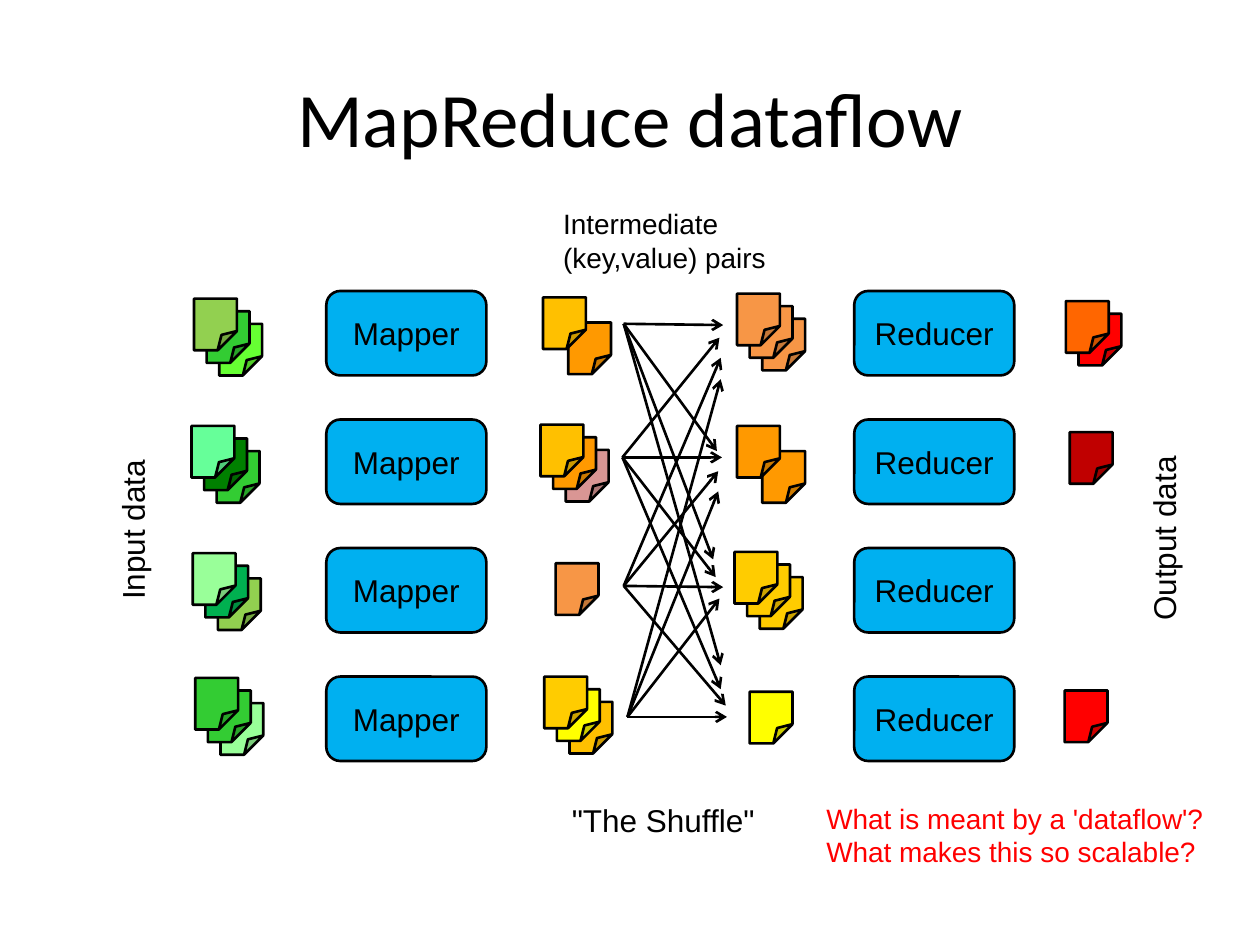
from lxml.etree import SubElement
from pptx import Presentation
from pptx.dml.color import RGBColor
from pptx.enum.shapes import MSO_CONNECTOR, MSO_SHAPE
from pptx.enum.text import MSO_ANCHOR, MSO_AUTO_SIZE, PP_ALIGN
from pptx.oxml.ns import qn
from pptx.util import Inches, Pt

THEME = {
    "ink": RGBColor.from_string("000000"),
    "box": RGBColor.from_string("00B0F0"),
    "question": RGBColor.from_string("FF0000"),
    "title_font": "Calibri",
    "body_font": "Arial",
    "title_size": Pt(44),
    "label_size": Pt(18),
    "note_size": Pt(16),
    "line_width": Pt(1.5),
}

ROW_TOP, ROW_PITCH = 2.31, 1.02
BOX_WIDTH, BOX_HEIGHT = 1.27, 0.67
PAGE_WIDTH, PAGE_HEIGHT = 0.34, 0.41
BOX_COLUMNS = {"Mapper": 2.59, "Reducer": 6.78}
INPUT, MAPPED, SHUFFLED, OUTPUT = 1.54, 4.31, 5.85, 8.46

page_stacks = [
    (INPUT, 0, 0, 0.06, 0.1, ["92D050", "33CC33", "66FF33"]),
    (INPUT, 1, -0.02, 0.05, 0.1, ["66FF99", "008000", "33CC33"]),
    (INPUT, 2, -0.01, 0.04, 0.1, ["99FF99", "00B050", "92D050"]),
    (INPUT, 3, 0.01, 0.01, 0.1, ["33CC33", "33CC33", "99FF99"]),
    (MAPPED, 0, 0, 0.05, 0.2, ["FFC000", "FF9900"]),
    (MAPPED, 1, -0.02, 0.04, 0.1, ["FFC000", "FF9900", "D99694"]),
    (MAPPED, 2, 0.1, 0.12, 0.1, ["F79646"]),
    (MAPPED, 3, 0.01, 0, 0.1, ["FFCC00", "FFFF00", "FFC000"]),
    (SHUFFLED, 0, 0, 0.02, 0.1, ["F79646", "F79646", "F79646"]),
    (SHUFFLED, 1, 0, 0.05, 0.2, ["FF9900", "FF9900"]),
    (SHUFFLED, 2, -0.02, 0.03, 0.1, ["FFCC00", "FFCC00", "FFCC00"]),
    (SHUFFLED, 3, 0.1, 0.12, 0.1, ["FFFF00"]),
    (OUTPUT, 0, 0, 0.08, 0.1, ["FF6600", "FF0000"]),
    (OUTPUT, 1, 0.03, 0.1, 0.1, ["C00000"]),
    (OUTPUT, 3, -0.01, 0.11, 0.1, ["FF0000"]),
]

arrow_starts = [(4.95, 2.57), (4.94, 3.63), (4.95, 4.65), (4.98, 5.69)]
arrow_ends = [
    [(5.74, 2.58), (5.71, 2.68), (5.72, 2.84), (5.72, 3.01)],
    [(5.69, 3.58), (5.73, 3.63), (5.7, 3.74), (5.7, 3.9)],
    [(5.66, 4.44), (5.68, 4.58), (5.74, 4.66), (5.71, 4.75)],
    [(5.72, 5.28), (5.72, 5.47), (5.76, 5.6), (5.77, 5.69)],
]

labels = [
    (0.32, 3.89, 1.5, 0.44, 270, "label_size", "ink", ["Input data"]),
    (8.41, 3.96, 1.69, 0.44, 270, "label_size", "ink", ["Output data"]),
    (4.44, 6.31, 1.84, 0.44, 0, "label_size", "ink", ['"The Shuffle"']),
    (4.37, 1.59, 1.82, 0.64, 0, "note_size", "ink",
     ["Intermediate ", "(key,value) pairs"]),
    (6.46, 6.31, 3.25, 0.64, 0, "note_size", "question",
     ["What is meant by a 'dataflow'?", "What makes this so scalable?"]),
]


def add_run(paragraph, text, size, font="body_font", color="ink"):
    run = paragraph.add_run()
    run.text = text
    run.font.name = THEME[font]
    run.font.size = THEME[size]
    run.font.color.rgb = THEME[color]


def add_outlined(kind, left, top, width, height, fill):
    shape = slide.shapes.add_shape(
        kind, Inches(left), Inches(top), Inches(width), Inches(height))
    shape.shadow.inherit = False
    shape.fill.solid()
    shape.fill.fore_color.rgb = fill
    shape.line.color.rgb = THEME["ink"]
    shape.line.width = THEME["line_width"]
    return shape


presentation = Presentation()
presentation.slide_width = Inches(10)
presentation.slide_height = Inches(7.5)
slide = presentation.slides.add_slide(presentation.slide_layouts[5])

title = slide.shapes.title
title.left, title.top = Inches(0.5), Inches(0.3)
title.width, title.height = Inches(9), Inches(1.25)
title.text_frame.vertical_anchor = MSO_ANCHOR.MIDDLE
title_paragraph = title.text_frame.paragraphs[0]
title_paragraph.alignment = PP_ALIGN.CENTER
add_run(title_paragraph, "MapReduce dataflow", "title_size", "title_font")

for name, left in BOX_COLUMNS.items():
    for row in range(4):
        box = add_outlined(MSO_SHAPE.ROUNDED_RECTANGLE, left,
                           ROW_TOP + row * ROW_PITCH,
                           BOX_WIDTH, BOX_HEIGHT, THEME["box"])
        box.text_frame.vertical_anchor = MSO_ANCHOR.MIDDLE
        paragraph = box.text_frame.paragraphs[0]
        paragraph.alignment = PP_ALIGN.CENTER
        add_run(paragraph, name, "label_size")

for column, row, shift, drop, step, colors in page_stacks:
    for depth in reversed(range(len(colors))):
        page = add_outlined(MSO_SHAPE.FOLDED_CORNER,
                            column + shift + depth * step,
                            ROW_TOP + row * ROW_PITCH + drop + depth * step,
                            PAGE_WIDTH, PAGE_HEIGHT,
                            RGBColor.from_string(colors[depth]))
        geometry = page.element.spPr.find(qn("a:prstGeom"))
        SubElement(geometry.find(qn("a:avLst")), qn("a:gd"),
                   name="adj", fmla="val 44800")

for ends in arrow_ends:
    for start, end in zip(arrow_starts, ends):
        arrow = slide.shapes.add_connector(
            MSO_CONNECTOR.STRAIGHT, *map(Inches, start + end))
        arrow.line.color.rgb = THEME["ink"]
        arrow.line.width = THEME["line_width"]
        properties = arrow.element.spPr
        SubElement(properties.find(qn("a:ln")), qn("a:tailEnd"), type="arrow")
        SubElement(properties, qn("a:effectLst"))

for left, top, width, height, rotation, size, color, lines in labels:
    text_box = slide.shapes.add_textbox(
        Inches(left), Inches(top), Inches(width), Inches(height))
    text_box.rotation = rotation
    text_box.text_frame.word_wrap = False
    text_box.text_frame.auto_size = MSO_AUTO_SIZE.SHAPE_TO_FIT_TEXT
    paragraph = text_box.text_frame.paragraphs[0]
    for number, line in enumerate(lines):
        if number:
            paragraph.add_line_break()
        add_run(paragraph, line, size, color=color)

presentation.save("out.pptx")
